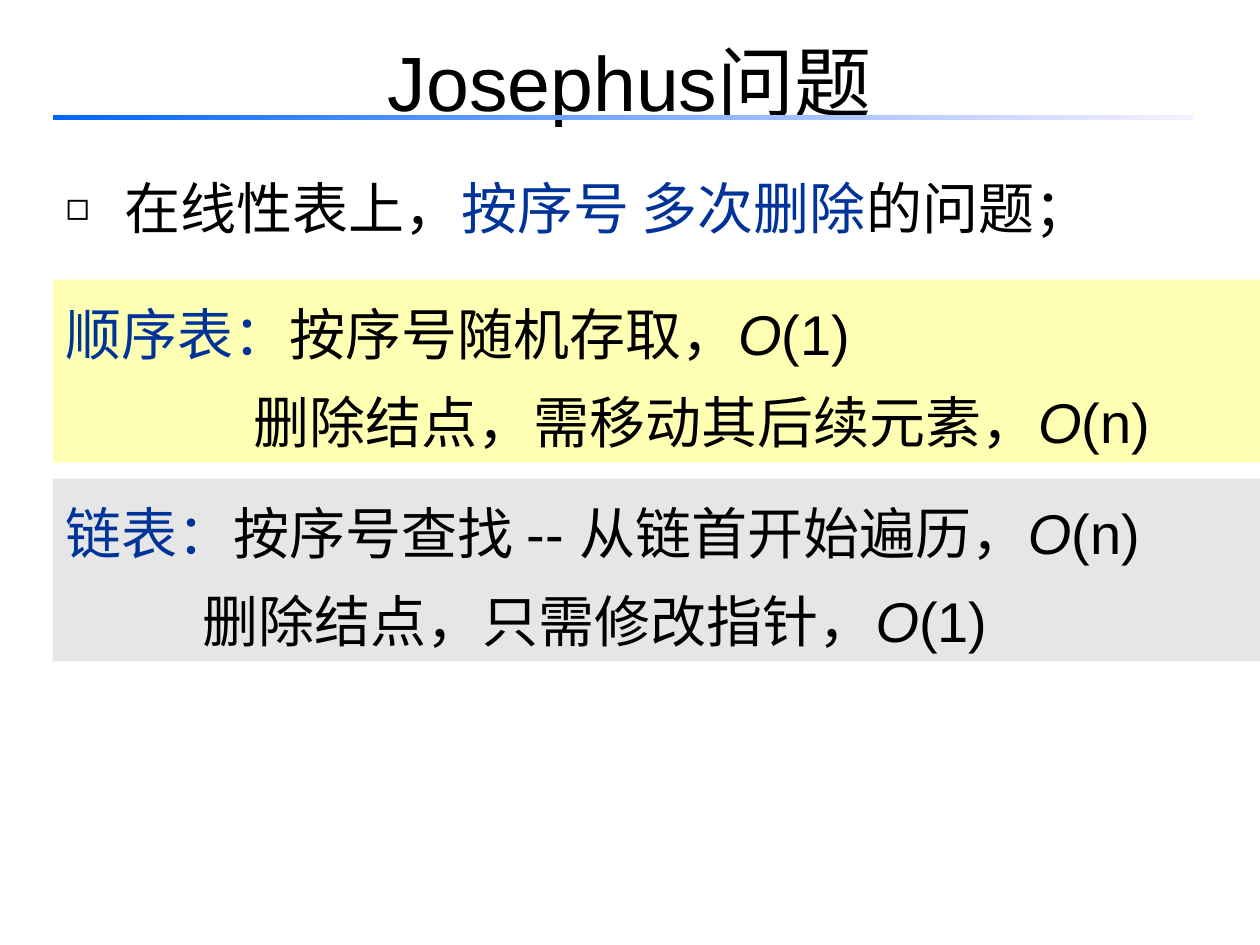
"""Build the slide comparing array and linked lists for the Josephus problem."""
from lxml.etree import SubElement
from pptx import Presentation
from pptx.dml.color import RGBColor
from pptx.enum.shapes import MSO_SHAPE
from pptx.enum.text import MSO_ANCHOR, MSO_AUTO_SIZE, PP_ALIGN
from pptx.oxml.ns import qn
from pptx.util import Inches, Pt

BLACK = RGBColor(0x00, 0x00, 0x00)
WHITE = RGBColor(0xFF, 0xFF, 0xFF)
BLUE = RGBColor(0x00, 0x33, 0x99)
YELLOW = RGBColor(0xFF, 0xFF, 0xB3)
GREY = RGBColor(0xE6, 0xE6, 0xE6)
RULE_START = RGBColor(0x00, 0x66, 0xFF)
RULE_END = RGBColor(0xF7, 0xEF, 0xFF)

TITLE = "Josephus问题"
TOPIC = [("在线性表上，", BLACK), ("按序号 多次删除", BLUE), ("的问题；", BLACK)]
PANELS = [
    (YELLOW, 2.22, 1.49, "顺序表：",
     [("按序号随机存取，", "(1)"), ("删除结点，需移动其后续元素，", "(n)")]),
    (GREY, 3.8, 1.09, "链表：",
     [("按序号查找 -- 从链首开始遍历，", "(n)"), ("删除结点，只需修改指针，", "(1)")]),
]
LEFT = 0.42
PANEL_WIDTH = 10 - LEFT
ROW_HEIGHTS = (0.7, 0.75)


def place(shape, left, top, width, height):
    shape.left, shape.top = Inches(left), Inches(top)
    shape.width, shape.height = Inches(width), Inches(height)


def fill_solid(shape, color):
    shape.fill.solid()
    shape.fill.fore_color.rgb = color


def add_bar(slide, left, top, width, height):
    shape = slide.shapes.add_shape(
        MSO_SHAPE.RECTANGLE, Inches(left), Inches(top), Inches(width), Inches(height))
    shape.shadow.inherit = False
    shape.line.fill.background()
    return shape


def format_paragraph(shape, size, spacing, anchor, alignment):
    frame = shape.text_frame
    frame.word_wrap = True
    frame.auto_size = MSO_AUTO_SIZE.NONE
    frame.vertical_anchor = anchor
    paragraph = frame.paragraphs[0]
    paragraph.alignment = alignment
    paragraph.line_spacing = spacing
    paragraph.space_before = Pt(0)
    paragraph.font.name = "Arial"
    paragraph.font.size = Pt(size)
    paragraph.font.color.rgb = BLACK
    return paragraph


def add_run(paragraph, text, color, italic=False):
    run = paragraph.add_run()
    run.text = text
    run.font.color.rgb = color
    run.font.italic = italic


def set_bullet(paragraph, character, percent, indent):
    properties = paragraph._p.get_or_add_pPr()
    properties.set("marL", str(Inches(indent)))
    properties.set("indent", str(-Inches(indent)))
    SubElement(properties, qn("a:buSzPct"), val=str(percent * 1000))
    SubElement(properties, qn("a:buChar"), char=character)


def add_title(slide):
    title = slide.shapes.title
    place(title, 0.5, -0.08, 9, 1.25)
    title.text_frame.text = TITLE
    format_paragraph(title, 44, 1.25, MSO_ANCHOR.MIDDLE, PP_ALIGN.CENTER)
    rule = add_bar(slide, LEFT, 0.91, 9.05, 0.04)
    rule.fill.gradient()
    rule.fill.gradient_angle = 0
    for stop, color, position in zip(
            rule.fill.gradient_stops, (RULE_START, RULE_END), (0, 1)):
        stop.color.rgb = color
        stop.position = position


def add_topic(slide):
    body = slide.placeholders[1]
    place(body, LEFT, 1.17, 8.5, 0.75)
    fill_solid(body, WHITE)
    set_bullet(body.text_frame.paragraphs[0], "◻", 70, 0.47)
    paragraph = format_paragraph(body, 32, 1.3, MSO_ANCHOR.TOP, PP_ALIGN.LEFT)
    for text, color in TOPIC:
        add_run(paragraph, text, color)


def add_panel(slide, color, top, indent, label, rows):
    for index, ((text, order), height) in enumerate(zip(rows, ROW_HEIGHTS)):
        row = add_bar(slide, LEFT, top, PANEL_WIDTH, height)
        fill_solid(row, color)
        paragraph = format_paragraph(row, 32, 1.2, MSO_ANCHOR.TOP, PP_ALIGN.LEFT)
        if index == 0:
            add_run(paragraph, label, BLUE)
        else:
            paragraph._p.get_or_add_pPr().set("marL", str(Inches(indent)))
        add_run(paragraph, text, BLACK)
        add_run(paragraph, "O", BLACK, italic=True)
        add_run(paragraph, order, BLACK)
        top += height


def main():
    presentation = Presentation()
    presentation.slide_width, presentation.slide_height = Inches(10), Inches(7.5)
    slide = presentation.slides.add_slide(presentation.slide_layouts[1])
    add_title(slide)
    add_topic(slide)
    for panel in PANELS:
        add_panel(slide, *panel)
    presentation.save("out.pptx")


if __name__ == "__main__":
    main()
